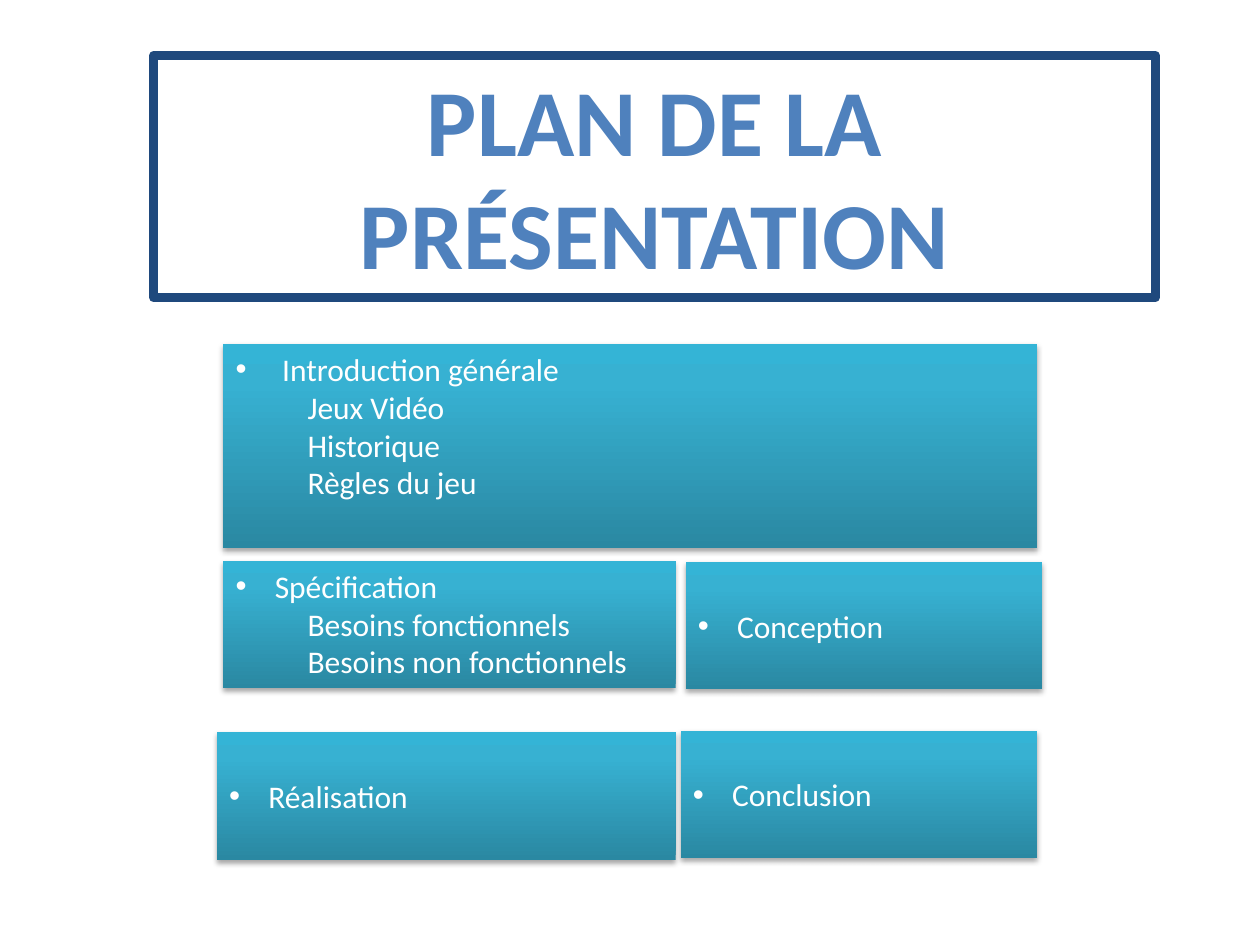
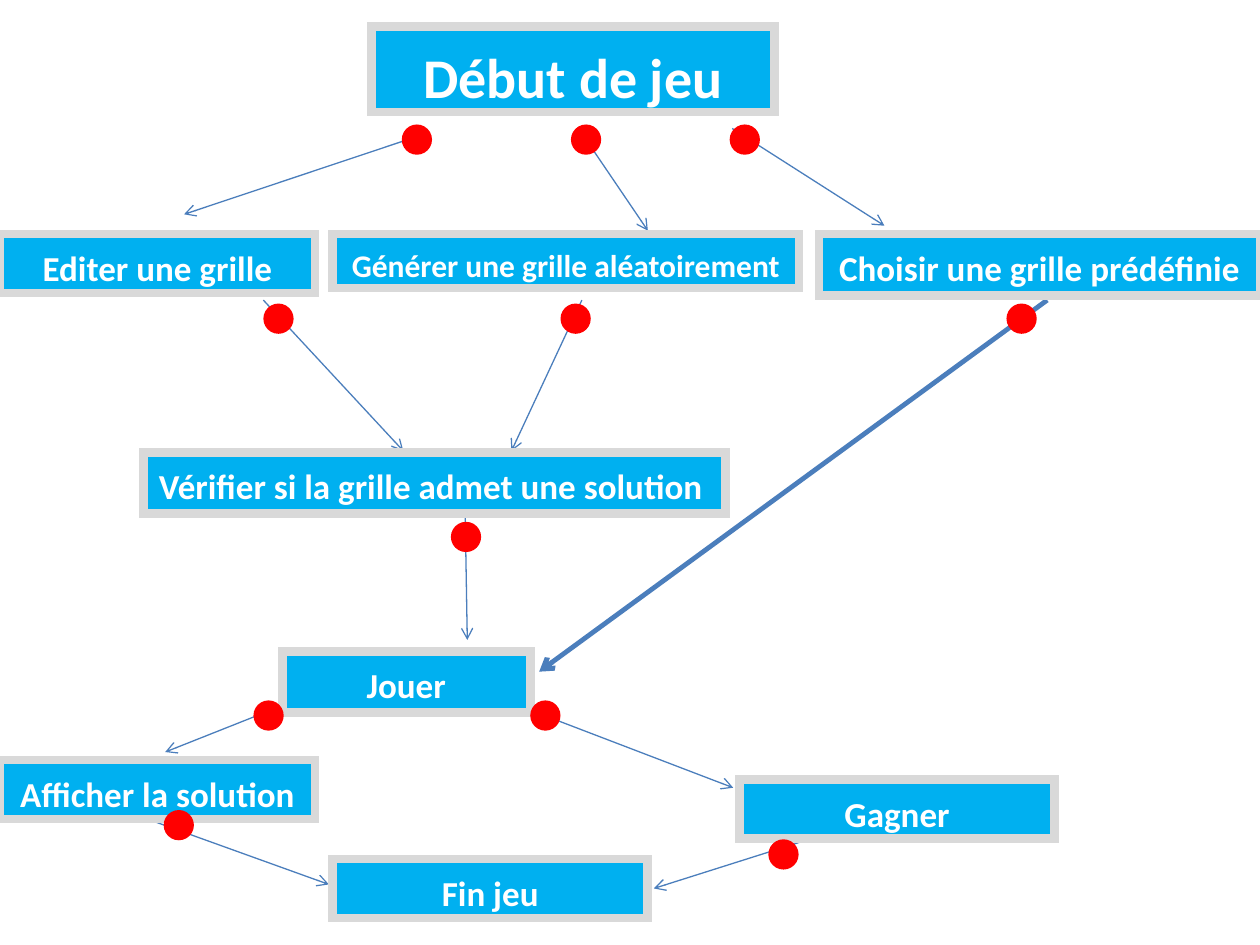
"""Builds two slides: the plan of the talk and the flow chart of the game."""
from lxml import etree
from pptx import Presentation
from pptx import util as u
from pptx.dml import color
from pptx.enum import shapes, text
from pptx.oxml import ns

FONT = "Calibri"
WHITE, SKY, GREY, RED = "FFFFFF", "00B0F0", "D9D9D9", "FF0000"
NAVY, BLUE, STEEL = "1F497D", "4F81BD", "4B7EBC"
CARD_STOPS = [(0, "2A88A2"), (80, "37B1D2"), (100, "34B4D6")]
CARD_HEIGHT, SUB_INDENT, DOT = 2.57, 1.45, 0.61

TITLE = ("PLAN DE LA PRÉSENTATION", (3.1, 1.12, 20.19, 4.88))
CARDS = [
    ("Introduction générale", ["Jeux Vidéo", "Historique", "Règles du jeu"],
     (4.5, 6.93, 16.41, 4.11), 0.94),
    ("Spécification", ["Besoins fonctionnels", "Besoins non fonctionnels"],
     (4.5, 11.3, 9.12, CARD_HEIGHT), 0.79),
    ("Conception", [], (13.82, 11.33, 7.19, CARD_HEIGHT), 0.79),
    ("Réalisation", [], (4.37, 14.76, 9.25, CARD_HEIGHT), 0.79),
    ("Conclusion", [], (13.72, 14.73, 7.19, CARD_HEIGHT), 0.79),
]

STEPS = [
    ("Début de jeu", (7.49, 0.53, 8.13, 1.73), 32),
    ("Editer une grille", (0, 4.72, 6.35, 1.19), 20),
    ("Générer une grille aléatoirement", (6.71, 4.72, 9.4, 1.09), 18),
    ("Choisir une grille prédéfinie", (16.51, 4.72, 8.89, 1.24), 20),
    ("Vérifier si la grille admet une solution ", (2.9, 9.12, 11.73, 1.24), 20),
    ("Jouer", (5.69, 13.13, 5, 1.24), 20),
    ("Afficher la solution", (0, 15.32, 6.35, 1.19), 20),
    ("Fin jeu", (6.71, 17.32, 6.35, 1.19), 20),
    ("Gagner", (14.91, 15.72, 6.35, 1.19), 20),
]
ARROWS = [
    ((8.59, 2.69), (3.71, 4.32), 0.75),
    ((11.73, 2.69), (13.06, 4.65), 0.75),
    ((14.76, 2.59), (17.83, 4.55), 0.75),
    ((5.31, 6.05), (8.13, 9.09), 0.75),
    ((11.73, 6.05), (10.31, 9.09), 0.75),
    ((21.11, 6.05), (10.87, 13.54), 2.75),
    ((9.37, 9.86), (9.42, 12.9), 0.75),
    ((7.92, 13.34), (3.33, 15.16), 0.75),
    ((10.31, 14.17), (14.78, 15.88), 0.75),
    ((3.05, 16.54), (6.63, 17.83), 0.75),
    ((16.97, 16.71), (13.18, 17.91), 0.75),
]
DOT_ROWS = [
    (2.51, [8.1, 11.51, 14.71]),
    (6.12, [5.31, 11.3, 20.29]),
    (10.52, [9.09]),
    (14.12, [5.11, 10.69]),
    (16.33, [3.3]),
    (16.92, [15.49]),
]


def rgb(code):
    return color.RGBColor.from_string(code)


def element(tag, parent=None, **attributes):
    values = {name: str(value) for name, value in attributes.items()}
    if parent is None:
        return etree.Element(ns.qn(tag), values)
    return etree.SubElement(parent, ns.qn(tag), values)


def add_block(slide, place, fill=None, line=None, width=0,
              kind=shapes.MSO_SHAPE.RECTANGLE):
    block = slide.shapes.add_shape(kind, *map(u.Cm, place))
    block.shadow.inherit = False
    if fill:
        block.fill.solid()
        block.fill.fore_color.rgb = rgb(fill)
    else:
        block.fill.background()
    if line:
        block.line.color.rgb = rgb(line)
        block.line.width = u.Pt(width)
    else:
        block.line.fill.background()
    return block


def write(block, words, size=18, ink=WHITE, bold=False, align=text.PP_ALIGN.LEFT,
          anchor=text.MSO_ANCHOR.TOP, indent=0, bullet=False, spacing=None,
          after=None, append=False):
    frame = block.text_frame
    frame.word_wrap = True
    frame.vertical_anchor = anchor
    paragraph = frame.add_paragraph() if append else frame.paragraphs[0]
    properties = paragraph._p.get_or_add_pPr()
    properties.set("marL", str(u.Cm(indent)))
    if bullet:
        properties.set("indent", str(-u.Cm(indent)))
        element("a:buFont", properties, typeface="Arial")
        element("a:buChar", properties, char="•")
    paragraph.alignment = align
    paragraph.line_spacing = spacing
    if after:
        paragraph.space_after = u.Pt(after)
    run = paragraph.add_run()
    run.text = words
    run.font.name, run.font.size, run.font.bold = FONT, u.Pt(size), bold
    run.font.color.rgb = rgb(ink)


def style_card(card):
    properties = card._element.spPr
    gradient = element("a:gradFill", rotWithShape=1)
    stops = element("a:gsLst", gradient)
    for position, code in CARD_STOPS:
        stop = element("a:gs", stops, pos=position * 1000)
        element("a:srgbClr", stop, val=code)
    element("a:lin", gradient, ang=270 * 60000, scaled=0)
    properties.replace(properties.find(ns.qn("a:noFill")), gradient)
    shadow = element("a:outerShdw", properties.find(ns.qn("a:effectLst")),
                     blurRad=u.Pt(3.1), dist=u.Pt(1.8), dir=90 * 60000, rotWithShape=0)
    element("a:alpha", element("a:srgbClr", shadow, val="000000"), val=35000)


def add_arrow(slide, start, end, width):
    arrow = slide.shapes.add_connector(
        shapes.MSO_CONNECTOR.STRAIGHT, *map(u.Cm, start + end))
    arrow.line.color.rgb = rgb(STEEL)
    arrow.line.width = u.Pt(width)
    element("a:tailEnd", arrow.line._get_or_add_ln(), type="arrow")
    element("a:effectLst", arrow._element.spPr)


def build_plan(slide):
    words, place = TITLE
    title = add_block(slide, place, line=NAVY, width=5.25)
    write(title, words, size=54, ink=BLUE, bold=True, align=text.PP_ALIGN.CENTER)
    for heading, topics, place, hang in CARDS:
        card = add_block(slide, place)
        style_card(card)
        anchor = text.MSO_ANCHOR.TOP if topics else text.MSO_ANCHOR.MIDDLE
        write(card, heading, indent=hang, bullet=True, anchor=anchor)
        for topic in topics:
            write(card, topic, indent=SUB_INDENT, append=True)


def build_flow(slide):
    for start, end, width in ARROWS:
        add_arrow(slide, start, end, width)
    for words, place, size in STEPS:
        step = add_block(slide, place, fill=SKY, line=GREY, width=5)
        element("a:miter", step.line._get_or_add_ln(), lim=800000)
        write(step, words, size=size, bold=True, align=text.PP_ALIGN.CENTER,
              spacing=1.15, after=10)
    for top, lefts in DOT_ROWS:
        for left in lefts:
            add_block(slide, (left, top, DOT, DOT), fill=RED, kind=shapes.MSO_SHAPE.OVAL)


def main():
    deck = Presentation()
    deck.slide_width, deck.slide_height = u.Cm(25.4), u.Cm(19.05)
    for build in (build_plan, build_flow):
        build(deck.slides.add_slide(deck.slide_layouts[6]))
    deck.save("out.pptx")


if __name__ == "__main__":
    main()
